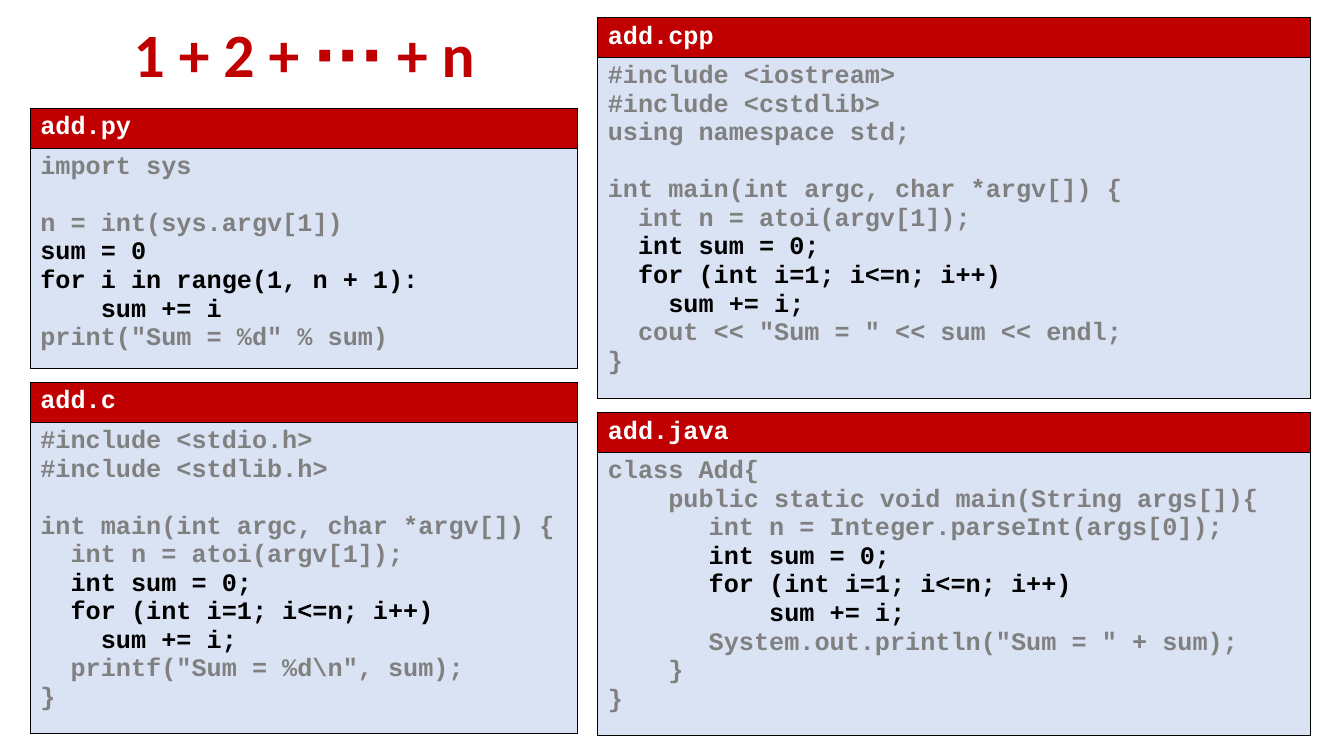
from dataclasses import dataclass

from lxml.etree import SubElement
from pptx import Presentation
from pptx.dml.color import RGBColor as RGB
from pptx.enum.text import MSO_ANCHOR as Anchor, PP_ALIGN as Align
from pptx.oxml.ns import qn
from pptx.util import Inches, Pt


@dataclass(frozen=True)
class Theme:
    red: RGB = RGB(0xC0, 0x00, 0x00)
    pale: RGB = RGB(0xDA, 0xE3, 0xF3)
    white: RGB = RGB(0xFF, 0xFF, 0xFF)
    grey: RGB = RGB(0x80, 0x80, 0x80)
    black: RGB = RGB(0x00, 0x00, 0x00)
    title_font: str = "Calibri"
    code_font: str = "Courier New"
    title_size: Pt = Pt(44)
    code_size: Pt = Pt(18)
    char: Pt = Pt(10.8)
    line: Pt = Pt(20.4)
    border: Pt = Pt(0.5)


T = Theme()
CELL = Inches(0.1)
SLIDE_COLS, SLIDE_ROWS = 133.33, 75
HEADER_ROWS = 3.87
LEFT, RIGHT = (3, 54.3), (59.3, 70.7)

C_MAIN = [
    (0, ""),
    (0, "int main(int argc, char *argv[]) {"),
    (2, "int n = atoi(argv[1]);"),
    (2, "int sum = 0;"),
    (2, "for (int i=1; i<=n; i++)"),
    (4, "sum += i;"),
]
PY = [
    (0, "import sys"),
    (0, ""),
    (0, "n = int(sys.argv[1])"),
    (0, "sum = 0"),
    (0, "for i in range(1, n + 1):"),
    (4, "sum += i"),
    (0, 'print("Sum = %d" % sum)'),
]
C = [
    (0, "#include <stdio.h>"),
    (0, "#include <stdlib.h>"),
    *C_MAIN,
    (2, r'printf("Sum = %d\n", sum);'),
    (0, "}"),
]
CPP = [
    (0, "#include <iostream>"),
    (0, "#include <cstdlib>"),
    (0, "using namespace std;"),
    *C_MAIN,
    (2, 'cout << "Sum = " << sum << endl;'),
    (0, "}"),
]
JAVA = [
    (0, "class Add{"),
    (4, "public static void main(String args[]){"),
    (6.67, "int n = Integer.parseInt(args[0]);"),
    (6.67, "int sum = 0;"),
    (6.67, "for (int i=1; i<=n; i++)"),
    (10.67, "sum += i;"),
    (6.67, 'System.out.println("Sum = " + sum);'),
    (4, "}"),
    (0, "}"),
]
LISTINGS = [
    ("add.c", LEFT, 37.9, C),
    ("add.cpp", RIGHT, 1.7, CPP),
    ("add.java", RIGHT, 40.9, JAVA),
    ("add.py", LEFT, 10.7, PY),
]


def grid(n):
    return round(n * CELL)


def apply(obj, values):
    for name, value in values.items():
        setattr(obj, name, value)


def add_run(p, text, color, font=T.code_font, size=T.code_size):
    r = p.add_run()
    r.text = text
    apply(r.font, {"name": font, "size": size, "bold": True})
    r.font.color.rgb = color


def add_title(s, text):
    tf = s.shapes.add_textbox(*map(grid, (3, -1.5, 54.4, 14.5))).text_frame
    apply(tf, {"word_wrap": True, "vertical_anchor": Anchor.MIDDLE})
    p = tf.paragraphs[0]
    apply(p, {"alignment": Align.CENTER, "line_spacing": 0.9})
    add_run(p, text, T.red, T.title_font, T.title_size)


def style_cell(cell, fill):
    tcPr = cell._tc.get_or_add_tcPr()
    for side in ("lnL", "lnR", "lnT", "lnB"):
        ln = SubElement(tcPr, qn(f"a:{side}"), w=str(T.border))
        solid = SubElement(ln, qn("a:solidFill"))
        SubElement(solid, qn("a:srgbClr"), val=str(T.black))
    cell.fill.solid()
    cell.fill.fore_color.rgb = fill


def write_code(tf, lines):
    start = next(i for i, (_, text) in enumerate(lines) if "sum = 0" in text)
    gap = 0
    for i, (indent, text) in enumerate(lines):
        if not text:
            gap = T.line
            continue
        p = tf.add_paragraph() if i else tf.paragraphs[0]
        p.space_before = gap
        pPr = p._p.get_or_add_pPr()
        pPr.set("marL", str(round(indent * T.char)))
        pPr.set("indent", "0")
        add_run(p, text, T.black if start <= i < start + 3 else T.grey)
        gap = 0


def add_listing(s, name, column, top, lines):
    left, width = column
    header = grid(HEADER_ROWS)
    body = len(lines) * T.line + CELL
    frame = s.shapes.add_table(2, 1, grid(left), grid(top), grid(width), header + body)
    table = frame.table
    apply(table, {"first_row": False, "horz_banding": False})
    for row, height in zip(table.rows, (header, body)):
        row.height = height
    head, code = table.cell(0, 0), table.cell(1, 0)
    style_cell(head, T.red)
    style_cell(code, T.pale)
    head.vertical_anchor = Anchor.MIDDLE
    add_run(head.text_frame.paragraphs[0], name, T.white)
    write_code(code.text_frame, lines)


def main():
    prs = Presentation()
    apply(prs, {"slide_width": grid(SLIDE_COLS), "slide_height": grid(SLIDE_ROWS)})
    s = prs.slides.add_slide(prs.slide_layouts[6])
    add_title(s, "1 + 2 + ∙∙∙ + n")
    for listing in LISTINGS:
        add_listing(s, *listing)
    prs.save("out.pptx")


if __name__ == "__main__":
    main()
